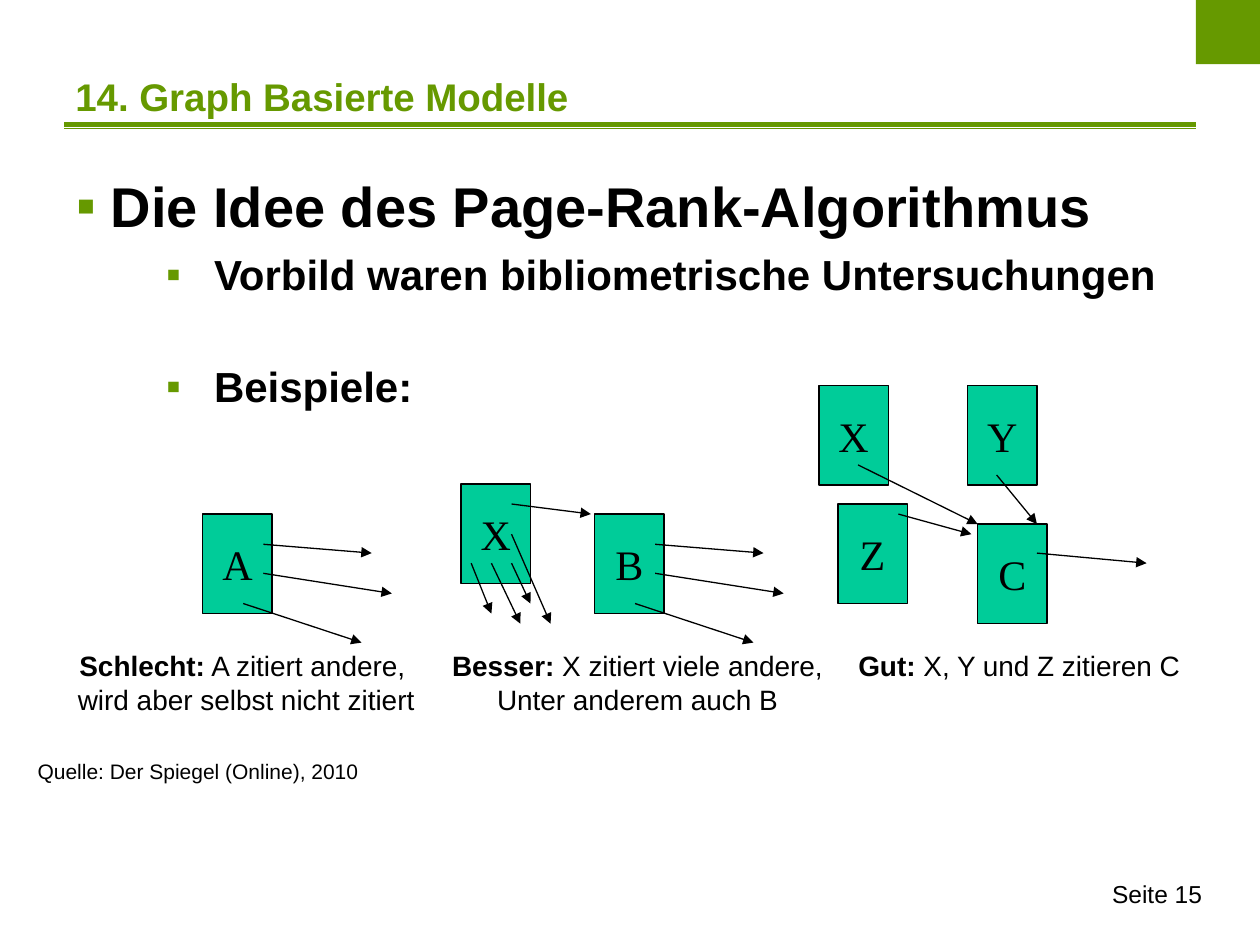
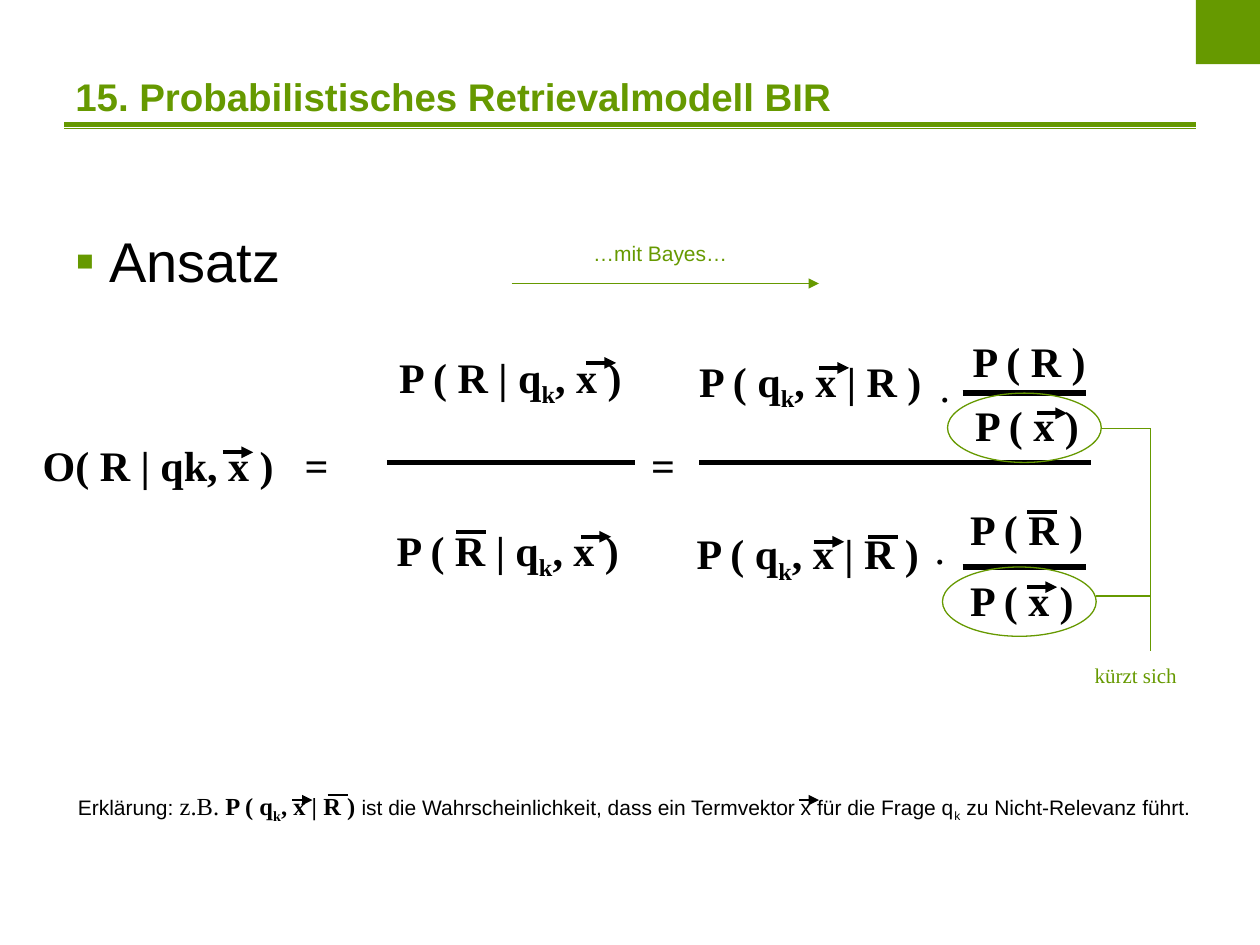
from dataclasses import dataclass

from lxml.etree import SubElement
from pptx import Presentation
from pptx.dml.color import RGBColor
from pptx.enum.shapes import MSO_CONNECTOR as Connector, MSO_SHAPE as Shape
from pptx.enum.text import MSO_ANCHOR as Anchor, PP_ALIGN as Align
from pptx.oxml.ns import qn
from pptx.util import Inches, Pt


@dataclass(frozen=True)
class Theme:
    green: RGBColor = RGBColor.from_string("669900")
    mint: RGBColor = RGBColor.from_string("00CC99")
    black: RGBColor = RGBColor.from_string("000000")
    sans: str = "Arial"
    serif: str = "Times New Roman"
    heading: int = 32
    title: int = 22
    formula: int = 24
    caption: int = 16
    footer: int = 14
    small: int = 12
    thin: float = 0.75
    accent: float = 2.25
    fraction: float = 3


THEME = Theme()
ACCENT_WIDTH = 0.24
PAGE_WIDTH, PAGE_HEIGHT = 0.55, 0.79


# Text
def format_run(run, size, font=THEME.sans, color=THEME.black, bold=False, subscript=False):
    run.font.size = Pt(size)
    run.font.name = font
    run.font.color.rgb = color
    run.font.bold = bold
    if subscript:
        run.font._element.set("baseline", "-25000")


def add_runs(paragraph, runs):
    """Each run is a pair of its text and its format options."""
    for text, options in runs:
        run = paragraph.add_run()
        run.text = text
        format_run(run, **options)


def add_text(slide, left, top, width, height, paragraphs, align=Align.LEFT,
             wrap=False, anchor=Anchor.TOP):
    box = slide.shapes.add_textbox(Inches(left), Inches(top), Inches(width), Inches(height))
    frame = box.text_frame
    frame.word_wrap = wrap
    frame.vertical_anchor = anchor
    for index, runs in enumerate(paragraphs):
        paragraph = frame.add_paragraph() if index else frame.paragraphs[0]
        paragraph.alignment = align
        add_runs(paragraph, runs)
    return box


def add_bullet(paragraph, margin, indent):
    properties = paragraph._p.get_or_add_pPr()
    properties.set("marL", str(Inches(margin)))
    properties.set("indent", str(Inches(indent)))
    color = SubElement(properties, qn("a:buClr"))
    SubElement(color, qn("a:srgbClr")).set("val", str(THEME.green))
    SubElement(properties, qn("a:buFont")).set("typeface", THEME.sans)
    SubElement(properties, qn("a:buChar")).set("char", "▪")


def add_bullet_list(slide, left, top, width, height, items):
    """Each item is its text, level, bold flag and space before in points."""
    box = add_text(slide, left, top, width, height, [[]] * len(items), wrap=True)
    for paragraph, (text, level, bold, space) in zip(box.text_frame.paragraphs, items):
        if space:
            paragraph.space_before = Pt(space)
        if level:
            add_bullet(paragraph, 1.09, -0.38)
        else:
            add_bullet(paragraph, 0.27, -0.27)
        size = THEME.formula if level else THEME.heading
        add_runs(paragraph, [(text, dict(size=size, bold=bold))])


# Lines and shapes
def add_line(slide, start, end, color=THEME.black, weight=THEME.thin, arrow=False):
    line = slide.shapes.add_connector(
        Connector.STRAIGHT, *(Inches(value) for value in (*start, *end)))
    line.line.color.rgb = color
    line.line.width = Pt(weight)
    if arrow:
        SubElement(line.line._get_or_add_ln(), qn("a:tailEnd")).set("type", "triangle")
    SubElement(line._element.spPr, qn("a:effectLst"))


def add_shape(slide, kind, left, top, width, height, fill=None, outline=None):
    shape = slide.shapes.add_shape(
        kind, Inches(left), Inches(top), Inches(width), Inches(height))
    shape.shadow.inherit = False
    if fill is None:
        shape.fill.background()
    else:
        shape.fill.solid()
        shape.fill.fore_color.rgb = fill
    if outline is None:
        shape.line.fill.background()
    else:
        shape.line.color.rgb = outline
        shape.line.width = Pt(THEME.thin)
    return shape


def add_slide(presentation, title):
    slide = presentation.slides.add_slide(presentation.slide_layouts[6])
    for y, weight in ((0.99, 2.75), (1.02, THEME.thin)):
        add_line(slide, (0.51, y), (9.49, y), THEME.green, weight)
    add_shape(slide, Shape.RECTANGLE, 9.49, 0, 0.51, 0.51, THEME.green)
    style = dict(size=THEME.title, color=THEME.green, bold=True)
    add_text(slide, 0.5, 0.14, 9, 1.25, [[(title, style)]], wrap=True, anchor=Anchor.MIDDLE)
    return slide


# Citation graph
def add_page(slide, letter, left, top, citations):
    """Citations are start and end offsets from the page's top left corner."""
    page = add_shape(slide, Shape.RECTANGLE, left, top, PAGE_WIDTH, PAGE_HEIGHT,
                     THEME.mint, THEME.black)
    frame = page.text_frame
    frame.word_wrap = False
    frame.vertical_anchor = Anchor.MIDDLE
    frame.text = letter
    paragraph = frame.paragraphs[0]
    paragraph.alignment = Align.CENTER
    format_run(paragraph.runs[0], THEME.formula, THEME.serif)
    for x1, y1, x2, y2 in citations:
        add_line(slide, (left + x1, top + y1), (left + x2, top + y2), arrow=True)


def add_caption(slide, left, width, height, verdict, *lines):
    plain = dict(size=THEME.caption)
    paragraphs = [[(line, plain)] for line in lines]
    paragraphs[0].insert(0, (verdict, dict(plain, bold=True)))
    add_text(slide, left, 5.1, width, height, paragraphs, Align.CENTER)


def build_page_rank(presentation):
    slide = add_slide(presentation, "14. Graph Basierte Modelle")
    add_bullet_list(slide, 0.51, 1.31, 9.21, 2.2, [
        ("Die Idee des Page-Rank-Algorithmus", 0, True, 0),
        ("Vorbild waren bibliometrische Untersuchungen", 1, True, 6),
        ("Beispiele:", 1, True, 35),
    ])

    # Pages with the citations that leave them
    three_citations = [(0.48, 0.47, 1.5, 0.63), (0.32, 0.71, 1.26, 1.02),
                       (0.48, 0.24, 1.34, 0.31)]
    five_citations = [(0.4, 0.4, 0.71, 1.11), (0.24, 0.63, 0.47, 1.11),
                      (0.4, 0.16, 1.03, 0.24), (0.08, 0.63, 0.24, 1.03),
                      (0.4, 0.63, 0.55, 0.95)]
    pages = [
        ("A", 1.61, 4.08, three_citations),
        ("B", 4.72, 4.08, three_citations),
        ("X", 3.66, 3.84, five_citations),
        ("C", 7.76, 4.16, [(0.47, 0.23, 1.34, 0.31)]),
        ("Z", 6.65, 4, [(0.48, 0.08, 1.06, 0.24)]),
        ("X", 6.5, 3.06, [(0.31, 0.63, 1.26, 1.1)]),
        ("Y", 7.68, 3.06, [(0.23, 0.71, 0.55, 1.1)]),
    ]
    for page in pages:
        add_page(slide, *page)

    # Captions, source and page number
    add_caption(slide, 0.52, 2.87, 0.64, "Schlecht:", " A zitiert andere, ",
                "wird aber selbst nicht zitiert")
    add_caption(slide, 3.46, 3.2, 0.64, "Besser:", " X zitiert viele andere, ",
                "Unter anderem auch B")
    add_caption(slide, 6.71, 2.76, 0.37, "Gut:", " X, Y und Z zitieren C")
    source = ("Quelle: Der Spiegel (Online), 2010", dict(size=THEME.small))
    add_text(slide, 0.2, 5.97, 3.02, 0.3, [[source]], wrap=True)
    number = ("Seite 15", dict(size=THEME.footer))
    add_text(slide, 7.31, 6.93, 2.33, 0.52, [[number]], Align.RIGHT, wrap=True)


# Formula
def indexed(before, after, **style):
    """Runs of a term with a lowered k between its two parts."""
    return [(before, style), ("k", dict(style, subscript=True)), (after, style)]


def add_term(slide, left, top, runs):
    add_text(slide, left, top, 2.15, 0.5, [runs], wrap=True)


def add_accent(slide, left, y, vector, width=ACCENT_WIDTH, weight=THEME.accent):
    """A vector arrow or a negation bar above a letter."""
    add_line(slide, (left, y), (left + width, y), weight=weight, arrow=vector)


def build_retrieval_model(presentation):
    slide = add_slide(presentation, "15. Probabilistisches Retrievalmodell BIR")
    add_bullet_list(slide, 0.5, 1.75, 3.5, 0.7, [("Ansatz", 0, False, 0)])
    bold = dict(size=THEME.formula, font=THEME.serif, bold=True)
    regular = dict(bold, bold=False)
    green_small = dict(size=THEME.small, color=THEME.green)

    # Terms of the equation
    posterior = indexed("P ( R | q", ", x )", **bold)
    likelihood = indexed("P ( q", ", x | R )", **bold)
    terms = [
        (0.24, 3.44, [("O( R | qk, x )", bold)]),
        (2.32, 3.44, [("=", bold)]),
        (5.07, 3.44, [("=", bold)]),
        (3.07, 2.74, posterior),
        (3.05, 4.11, posterior),
        (5.45, 2.77, likelihood),
        (5.43, 4.14, likelihood),
        (7.62, 2.61, [("P ( R )", bold)]),
        (7.6, 3.95, [("P ( R )", bold)]),
        (7.64, 3.12, [("P ( x )", bold)]),
        (7.6, 4.51, [("P ( x )", bold)]),
        (7.36, 2.81, [(".", regular)]),
        (7.32, 4.1, [(".", regular)]),
    ]
    for term in terms:
        add_term(slide, *term)

    # Fraction lines, vector arrows and negation bars
    for left, right, y in ((3.07, 5.04, 3.67), (5.55, 8.66, 3.67),
                           (7.64, 8.62, 4.5), (7.64, 8.62, 3.12)):
        add_line(slide, (left, y), (right, y), weight=THEME.fraction)
    for left, y in ((1.77, 3.59), (4.65, 2.88), (6.5, 2.92), (8.23, 3.28),
                    (8.15, 4.66), (4.61, 4.26), (6.46, 4.3)):
        add_accent(slide, left, y, vector=True)
    for left, y in ((3.62, 4.22), (6.89, 4.26), (8.15, 4.06)):
        add_accent(slide, left, y, vector=False)

    # Bayes step and cancelled factors
    add_line(slide, (4.06, 2.25), (6.5, 2.25), THEME.green, arrow=True)
    add_text(slide, 4.61, 1.86, 1.6, 0.3, [[("…mit Bayes…", green_small)]], wrap=True)
    for left, top in ((7.48, 4.5), (7.52, 3.12)):
        add_shape(slide, Shape.OVAL, left, top, 1.22, 0.55, outline=THEME.green)
    for start, end in (((8.74, 3.4), (9.13, 3.4)), ((9.13, 3.4), (9.13, 5.17)),
                       ((8.7, 4.73), (9.13, 4.73))):
        add_line(slide, start, end, THEME.green)
    add_text(slide, 8.59, 5.21, 1.1, 0.3,
             [[("kürzt sich", dict(green_small, font=THEME.serif))]], wrap=True)

    # Explanation
    small = dict(size=THEME.small)
    serif = dict(size=THEME.footer, font=THEME.serif)
    explanation = [
        ("Erklärung:", small),
        (" z.B. ", serif),
        *indexed("P ( q", ", x | R ) ", **serif, bold=True),
        *indexed("ist die Wahrscheinlichkeit, dass ein Termvektor x für die Frage q",
                 " zu Nicht-Relevanz führt.", **small),
    ]
    add_text(slide, 0.52, 6.23, 9.3, 0.37, [explanation], wrap=True)
    for left in (2.32, 6.34):
        add_accent(slide, left, 6.35, vector=True, width=0.16, weight=1)
    add_accent(slide, 2.6, 6.31, vector=False, width=0.16, weight=1.5)


def main():
    presentation = Presentation()
    presentation.slide_width = Inches(10)
    presentation.slide_height = Inches(7.5)
    build_page_rank(presentation)
    build_retrieval_model(presentation)
    presentation.save("out.pptx")


if __name__ == "__main__":
    main()
